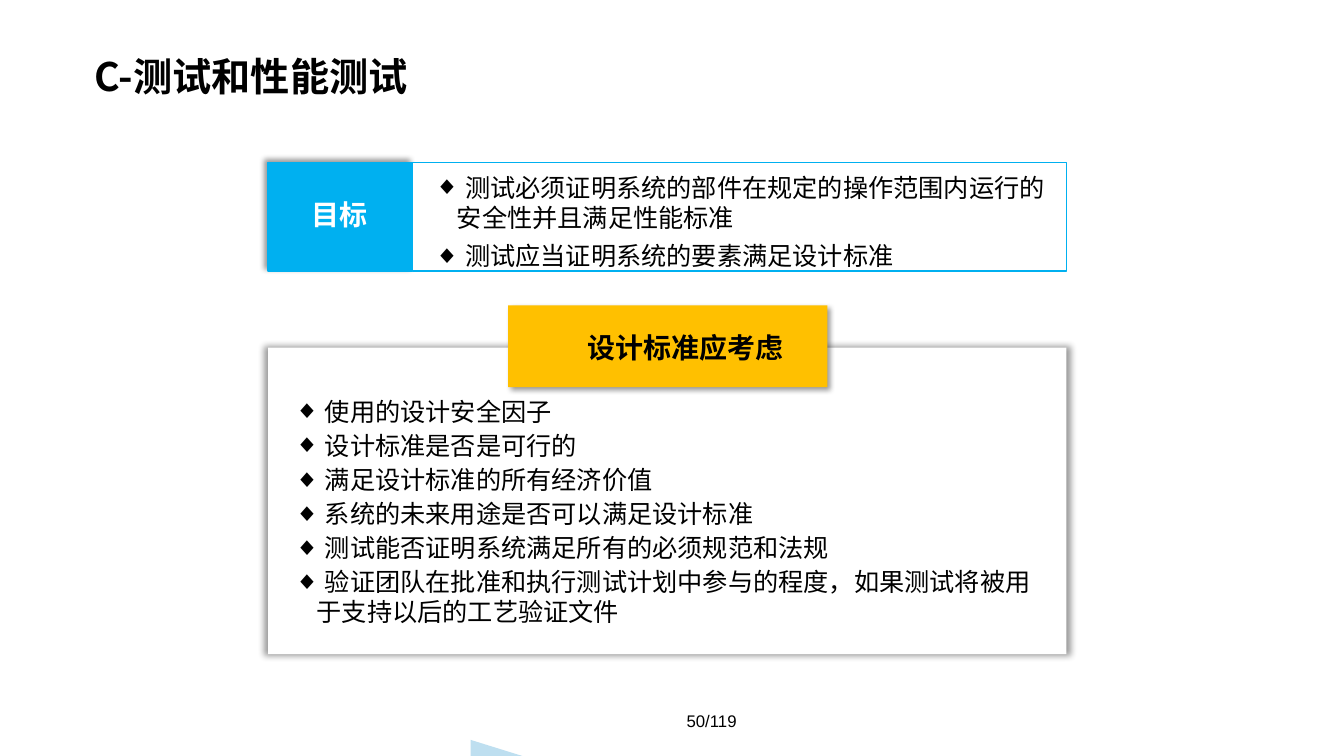
from lxml import etree
from pptx import Presentation
from pptx.dml.color import RGBColor
from pptx.enum.shapes import MSO_SHAPE
from pptx.enum.text import MSO_ANCHOR, MSO_AUTO_SIZE, PP_ALIGN
from pptx.oxml.ns import qn
from pptx.util import Pt

RECT, TRIANGLE = MSO_SHAPE.RECTANGLE, MSO_SHAPE.RIGHT_TRIANGLE
LEFT, CENTER = PP_ALIGN.LEFT, PP_ALIGN.CENTER
TOP, MIDDLE = MSO_ANCHOR.TOP, MSO_ANCHOR.MIDDLE
NO_FIT = MSO_AUTO_SIZE.NONE

# Content
TITLE = "C-测试和性能测试"
GOAL_LABEL = "目标"
GOALS = [
    " 测试必须证明系统的部件在规定的操作范围内运行的安全性并且满足性能标准",
    " 测试应当证明系统的要素满足设计标准",
]
CRITERIA_LABEL = "设计标准应考虑"
CRITERIA = [
    " 使用的设计安全因子",
    " 设计标准是否是可行的",
    " 满足设计标准的所有经济价值",
    " 系统的未来用途是否可以满足设计标准",
    " 测试能否证明系统满足所有的必须规范和法规",
    " 验证团队在批准和执行测试计划中参与的程度，如果测试将被用于支持以后的工艺验证文件",
]
PAGE = "50/119"

# Style and layout, in points
CJK, LATIN = "Noto Sans CJK SC", "Arial"
BLACK, WHITE, BLUE, AMBER, PALE = "000000", "FFFFFF", "00B0F0", "FFC000", "BEDFF0"
BULLET_INDENT = 16
PANEL_X, PANEL_W = 191.5, 570.2
GOAL_Y, GOAL_H, GOAL_LABEL_W = 115.9, 77.8, 103


def rgb(value):
    return RGBColor.from_string(value)


def place(shape, box):
    shape.left, shape.top, shape.width, shape.height = map(Pt, box)


def add_block(s, kind, box, fill, line=None, shadow=None):
    sp = s.shapes.add_shape(kind, *map(Pt, box))
    sp.fill.solid()
    sp.fill.fore_color.rgb = rgb(fill)
    if line:
        sp.line.color.rgb = rgb(line)
        sp.line.width = Pt(1)
    else:
        sp.line.fill.background()
    sp.shadow.inherit = False
    if shadow:
        blur, dist, angle, scale = shadow
        effects = sp._element.spPr.find(qn("a:effectLst"))
        outer = etree.SubElement(
            effects, qn("a:outerShdw"), blurRad=str(Pt(blur)), dist=str(Pt(dist)),
            dir=str(angle * 60000), sx=str(scale * 1000), sy=str(scale * 1000),
            algn="ctr", rotWithShape="0")
        color = etree.SubElement(outer, qn("a:srgbClr"), val=BLACK)
        etree.SubElement(color, qn("a:alpha"), val="40000")


def style(p, size, color=BLACK, bold=False, font=CJK, align=LEFT, spacing=1.0):
    p.alignment = align
    p.line_spacing = spacing
    for r in p.runs:
        r.font.size = Pt(size)
        r.font.bold = bold
        r.font.name = font
        r.font.color.rgb = rgb(color)
        etree.SubElement(r._r.get_or_add_rPr(), qn("a:ea"), typeface=font)


def add_label(s, text, box, wrap=False, anchor=TOP, **look):
    tf = s.shapes.add_textbox(*map(Pt, box)).text_frame
    tf.word_wrap = wrap
    tf.vertical_anchor = anchor
    tf.text = text
    style(tf.paragraphs[0], **look)


def fill_list(s, body, items, box, gap):
    s.shapes._spTree.append(body._element)  # bring in front of the panels
    place(body, box)
    tf = body.text_frame
    tf.auto_size = NO_FIT
    tf.vertical_anchor = TOP
    tf.text = "\n".join(items)
    for p in tf.paragraphs:
        pPr = p._p.get_or_add_pPr()
        pPr.set("marL", str(Pt(BULLET_INDENT)))
        pPr.set("indent", str(-Pt(BULLET_INDENT)))
        etree.SubElement(pPr, qn("a:buFont"), typeface=LATIN)
        etree.SubElement(pPr, qn("a:buChar"), char="◆")
        p.space_before = Pt(0)
        p.space_after = Pt(gap)
        style(p, 18, spacing=Pt(21.4))


def main():
    prs = Presentation()
    prs.slide_width, prs.slide_height = Pt(960), Pt(540)
    s = prs.slides.add_slide(prs.slide_layouts[3])
    title, goals, criteria = list(s.placeholders)[:3]

    # Title
    place(title, (60.5, 31, 838.8, 51.1))
    tf = title.text_frame
    tf.auto_size = NO_FIT
    tf.vertical_anchor = MIDDLE
    tf.text = TITLE
    style(tf.paragraphs[0], 28, bold=True, spacing=0.9)

    # Corner decoration and criteria panel
    add_block(s, TRIANGLE, (336.2, 528.5, 41.8, 13), PALE)
    add_block(s, RECT, (PANEL_X, 248.4, PANEL_W, 218.9), WHITE, shadow=(5, 0, 0, 101))

    # Goal row
    add_block(s, RECT, (PANEL_X, GOAL_Y, GOAL_LABEL_W, GOAL_H), BLUE, BLUE, (4, 3, 225, 100))
    add_block(s, RECT, (PANEL_X + GOAL_LABEL_W, GOAL_Y, PANEL_W - GOAL_LABEL_W, GOAL_H),
              WHITE, BLUE)
    add_label(s, GOAL_LABEL, (215.3, 136.8, 54.7, 31.7),
              size=20, color=WHITE, bold=True, spacing=Pt(24.5))
    fill_list(s, goals, GOALS, (303.1, 119.5, 455.8, 78.5), 6)

    # Criteria heading and list
    add_block(s, RECT, (362.9, 218.2, 228.2, 58.3), AMBER, shadow=(4, 3, 45, 100))
    add_label(s, CRITERIA_LABEL, (412.6, 231.8, 156.2, 31.7),
              size=20, bold=True, spacing=Pt(24.5))
    fill_list(s, criteria, CRITERIA, (203, 279.4, 556.6, 175), 3)

    # Page number
    add_label(s, PAGE, (400.3, 500.4, 216, 28.8), wrap=True, anchor=MIDDLE,
              size=12, font=LATIN, align=CENTER)

    prs.save("out.pptx")


if __name__ == "__main__":
    main()
